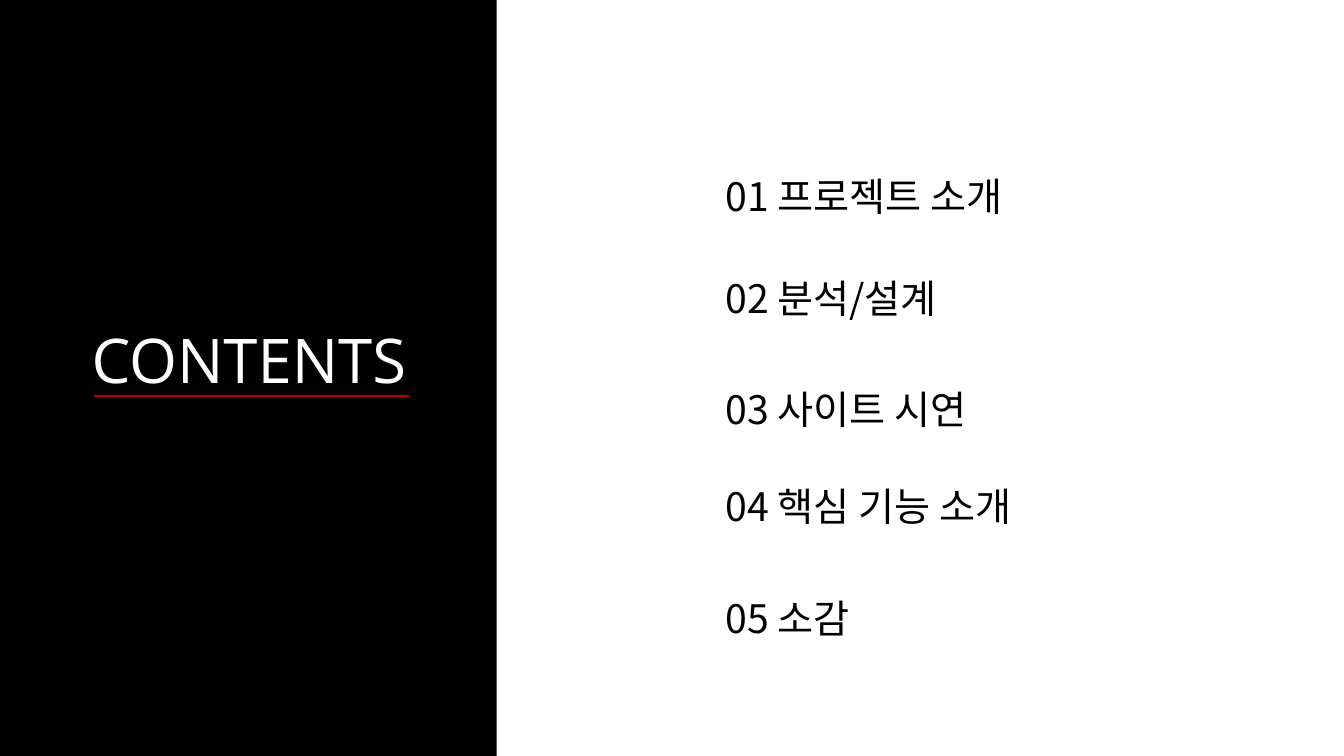
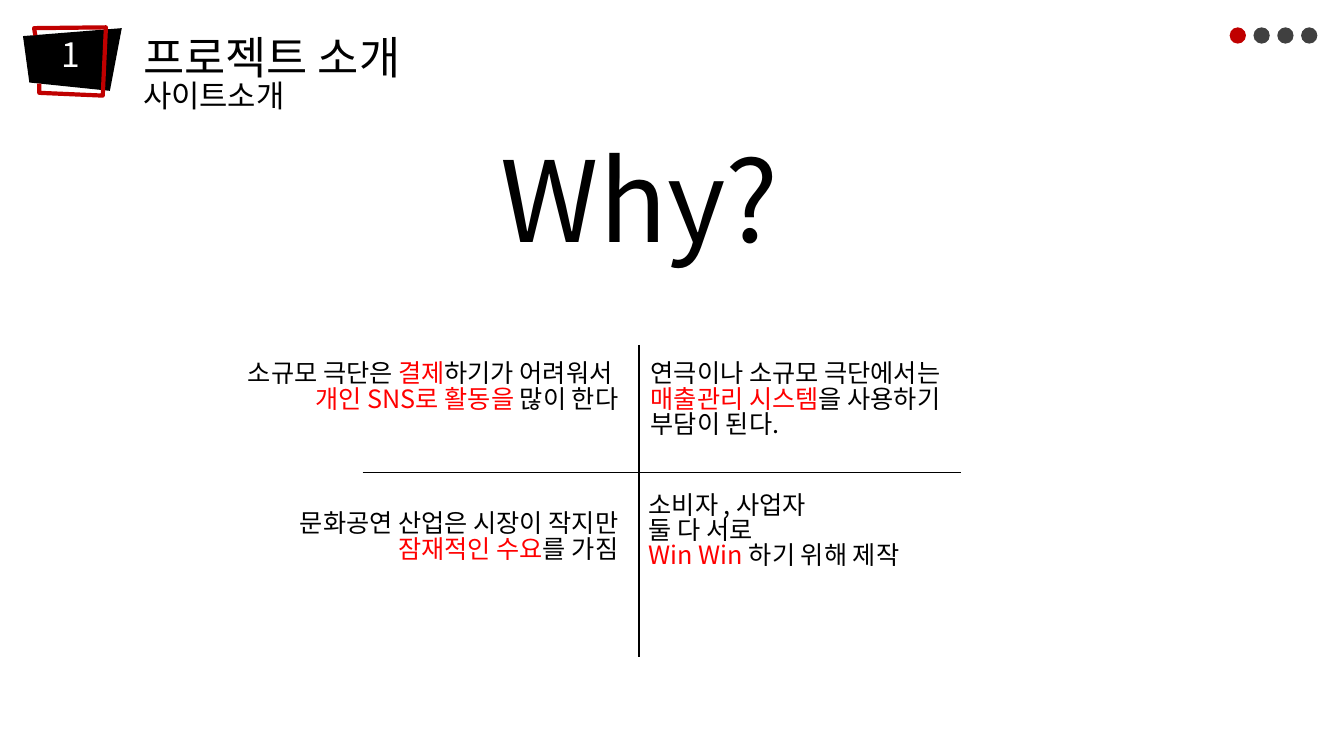
from dataclasses import dataclass

import pptx
import pptx.dml.color
import pptx.enum.shapes
import pptx.enum.text
import pptx.oxml
import pptx.oxml.ns
import pptx.util

Cm = pptx.util.Cm
Align = pptx.enum.text.PP_ALIGN
Shape = pptx.enum.shapes.MSO_SHAPE

COLORS = {
    "black": "000000",
    "white": "FFFFFF",
    "accent": "C00000",
    "highlight": "FF0000",
    "dot": "404040",
}
BODY_FONT = "Noto Sans CJK KR"
HEADING_FONT = "Open Sans"
TITLE_ONLY = 5
BODY_SPACING = 0.83


@dataclass(frozen=True)
class Box:
    left: float
    top: float
    width: float
    height: float

    def place(self) -> tuple:
        return Cm(self.left), Cm(self.top), Cm(self.width), Cm(self.height)


@dataclass(frozen=True)
class Style:
    size: float
    color: str = "black"
    font: str = BODY_FONT
    align: Align = Align.LEFT
    spacing: float = BODY_SPACING
    wrap: bool = True


@dataclass(frozen=True)
class Item:
    text: str
    top: float


@dataclass(frozen=True)
class Reason:
    box: Box
    lines: tuple[str, ...]
    align: Align


ITEMS = (
    Item("01 프로젝트 소개", 4.42),
    Item("02 분석/설계", 6.99),
    Item("03 사이트 시연", 9.78),
    Item("04 핵심 기능 소개", 12.22),
    Item("05 소감", 15.06),
)

# Text between asterisks is highlighted.
REASONS = (
    Reason(Box(4.65, 9.02, 11.18, 1.8),
           ("소규모 극단은 *결제*하기가 어려워서 ", "*개인 SNS로 활동을 *많이 한다"),
           Align.RIGHT),
    Reason(Box(16.15, 9.02, 11.18, 2.57),
           ("연극이나 소규모 극단에서는", "*매출관리 시스템*을 사용하기", "부담이 된다."),
           Align.LEFT),
    Reason(Box(4.65, 12.8, 11.18, 1.8),
           ("문화공연 산업은 시장이 작지만", "*잠재적인 수요*를 가짐"),
           Align.RIGHT),
    Reason(Box(16.1, 12.34, 11.18, 2.57),
           ("소비자 , 사업자", "둘 다 서로", "*Win Win *하기 위해 제작"),
           Align.LEFT),
)

BADGE = ((0.58, 0.91), (0.74, 2.08), (2.77, 2.29), (3.07, 0.71))
BADGE_FRAME = ((0.89, 0.89), (0.86, 0.71), (2.67, 0.69),
               (2.59, 2.41), (0.99, 2.34), (0.99, 2.11))


def rgb(name: str) -> pptx.dml.color.RGBColor:
    return pptx.dml.color.RGBColor.from_string(COLORS[name])


def format_run(r, style: Style, color: str) -> None:
    r.font.size = pptx.util.Pt(style.size)
    r.font.name = style.font
    r.font.color.rgb = rgb(color)
    ea = pptx.oxml.parse_xml(
        f'<a:ea {pptx.oxml.ns.nsdecls("a")} typeface="{style.font}"/>')
    r.font._element.find(pptx.oxml.ns.qn("a:latin")).addnext(ea)


def write(sp, lines: tuple[str, ...], style: Style) -> None:
    """Fill a shape with one paragraph a line, highlighting *marked* text."""
    tf = sp.text_frame
    tf.word_wrap = style.wrap
    tf.auto_size = pptx.enum.text.MSO_AUTO_SIZE.NONE
    tf.vertical_anchor = pptx.enum.text.MSO_ANCHOR.TOP
    for i, line in enumerate(lines):
        p = tf.add_paragraph() if i else tf.paragraphs[0]
        p.alignment = style.align
        p.line_spacing = style.spacing
        for j, part in enumerate(line.split("*")):
            if part:
                r = p.add_run()
                r.text = part
                format_run(r, style, "highlight" if j % 2 else style.color)


def add_text(slide, box: Box, lines: tuple[str, ...], style: Style) -> None:
    write(slide.shapes.add_textbox(*box.place()), lines, style)


def set_title(slide, box: Box, lines: tuple[str, ...], style: Style):
    sp = slide.shapes.title
    sp.left, sp.top, sp.width, sp.height = box.place()
    write(sp, lines, style)
    return sp


def paint(sp, color: str) -> None:
    sp.shadow.inherit = False
    sp.fill.solid()
    sp.fill.fore_color.rgb = rgb(color)
    sp.line.fill.background()


def add_filled(slide, kind: Shape, box: Box, color: str):
    sp = slide.shapes.add_shape(kind, *box.place())
    paint(sp, color)
    return sp


def add_line(slide, x1: float, y1: float, x2: float, y2: float,
             color: str, width: float) -> None:
    line = slide.shapes.add_connector(
        pptx.enum.shapes.MSO_CONNECTOR.STRAIGHT, Cm(x1), Cm(y1), Cm(x2), Cm(y2))
    line.line.color.rgb = rgb(color)
    line.line.width = pptx.util.Pt(width)
    line._element.spPr.append(
        pptx.oxml.parse_xml(f'<a:effectLst {pptx.oxml.ns.nsdecls("a")}/>'))


def add_outline(slide, points: tuple, close: bool):
    start, *rest = [(Cm(x), Cm(y)) for x, y in points]
    builder = slide.shapes.build_freeform(*start)
    builder.add_line_segments(rest, close=close)
    return builder.convert_to_shape()


def add_progress_dots(slide, current: int, total: int = 4) -> None:
    for i in range(total):
        color = "accent" if i == current else "dot"
        add_filled(slide, Shape.OVAL, Box(30.99 + 0.6 * i, 0.69, 0.41, 0.41), color)


def add_badge(slide, number: int) -> None:
    paint(add_outline(slide, BADGE, close=True), "black")
    frame = add_outline(slide, BADGE_FRAME, close=False)
    frame.shadow.inherit = False
    frame.fill.background()
    frame.line.color.rgb = rgb("accent")
    frame.line.width = pptx.util.Pt(3)
    add_text(slide, Box(1.3, 0.91, 1.04, 1.27), (str(number),),
             Style(24, "white", wrap=False))


def build_contents(prs) -> None:
    slide = prs.slides.add_slide(prs.slide_layouts[TITLE_ONLY])
    title = set_title(
        slide, Box(1.78, 7.98, 8.99, 2.13), ("CONTENTS",),
        Style(44, "white", HEADING_FONT, Align.CENTER, spacing=1.0, wrap=False))
    panel = add_filled(slide, Shape.RECTANGLE, Box(0, 0, 12.52, 19.05), "black")
    title.element.addprevious(panel.element)
    add_line(slide, 2.36, 9.98, 10.31, 9.98, "accent", 1.5)
    for item in ITEMS:
        add_text(slide, Box(18.03, item.top, 11.1, 1.45), (item.text,), Style(28))


def build_why(prs) -> None:
    slide = prs.slides.add_slide(prs.slide_layouts[TITLE_ONLY])
    title = set_title(slide, Box(3.35, 0.84, 10.31, 2.6),
                      ("프로젝트 소개", "사이트소개"), Style(32, wrap=False))
    title.text_frame.paragraphs[1].runs[0].font.size = pptx.util.Pt(22)
    add_progress_dots(slide, current=0)
    add_badge(slide, 1)
    add_text(slide, Box(12.37, 3.73, 14.73, 3.68), ("Why?",), Style(80))
    add_line(slide, 9.14, 11.91, 24.21, 11.91, "black", 0.5)
    add_line(slide, 16.1, 8.69, 16.1, 16.56, "black", 1)
    for reason in REASONS:
        add_text(slide, reason.box, reason.lines, Style(18, align=reason.align))


def main() -> None:
    prs = pptx.Presentation()
    prs.slide_width, prs.slide_height = Cm(33.87), Cm(19.05)
    build_contents(prs)
    build_why(prs)
    prs.save("out.pptx")


if __name__ == "__main__":
    main()
